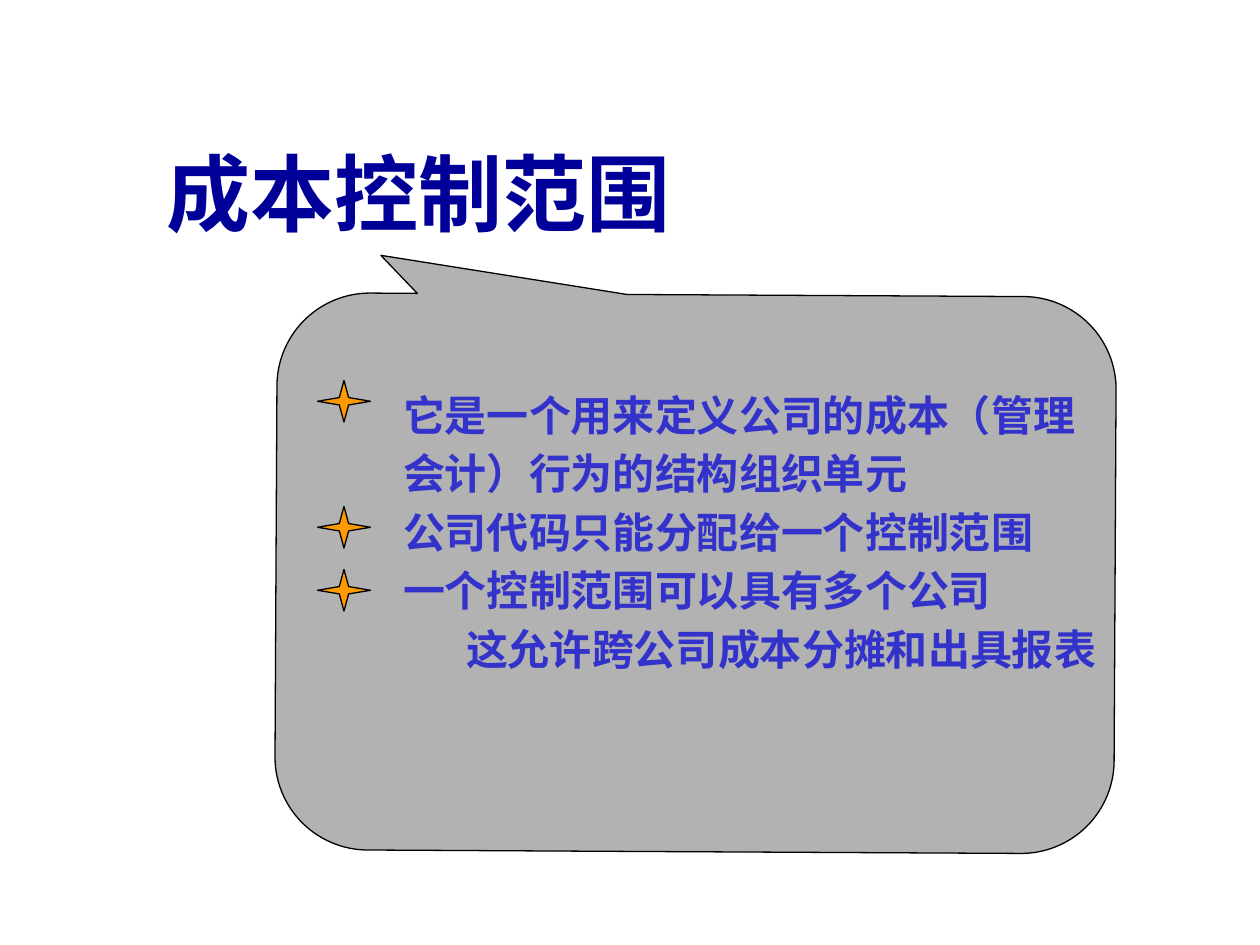
from lxml import etree
from pptx import Presentation, util as u
from pptx.dml.color import RGBColor
from pptx.enum import shapes, text
from pptx.oxml.ns import qn

WIDTH, HEIGHT = 10, 7.5
COLOURS = {
    "title": "000099",
    "body": "3333CC",
    "panel": "B2B2B2",
    "star": "FF9900",
    "outline": "000000",
}
CJK_FONT = "Noto Sans CJK SC"
POINTS = [
    ("它是一个用来定义公司的成本（管理", 0),
    ("会计）行为的结构组织单元", 0),
    ("公司代码只能分配给一个控制范围", 0),
    ("一个控制范围可以具有多个公司", 0),
    ("这允许跨公司成本分摊和出具报表", 1),
]
STAR_TOPS = (3.02, 4.02, 4.52)


def colour(name):
    """Return the named colour."""
    return RGBColor.from_string(COLOURS[name])


def place(left, top, width, height):
    """Turn inches into slide lengths."""
    return [u.Inches(length) for length in (left, top, width, height)]


def add_panel(slide, kind, box, fill, outline, adjustments=(), rotation=0):
    """Add a filled preset shape with a thin outline."""
    panel = slide.shapes.add_shape(kind, *place(*box))
    panel.shadow.inherit = False
    panel.rotation = rotation
    for index, value in enumerate(adjustments):
        panel.adjustments[index] = value
    panel.fill.solid()
    panel.fill.fore_color.rgb = colour(fill)
    panel.line.color.rgb = colour(outline)
    panel.line.width = u.Pt(0.75)
    return panel


def style_line(paragraph, size, font, ink, spacing):
    """Format a paragraph and its runs in bold."""
    paragraph.alignment = text.PP_ALIGN.LEFT
    paragraph.line_spacing = u.Pt(spacing)
    for run in paragraph.runs:
        run.font.size = u.Pt(size)
        run.font.bold = True
        run.font.name = font
        run.font.color.rgb = colour(ink)
        east_asian = etree.SubElement(run.font._element, qn("a:ea"))
        east_asian.set("typeface", CJK_FONT)


def add_title(slide, wording):
    """Add the slide heading."""
    heading = slide.shapes.add_textbox(*place(1.22, 1, 8.5, 1.25)).text_frame
    heading.word_wrap = True
    heading.text = wording
    style_line(heading.paragraphs[0], 48, "Times New Roman", "title", 63)


def add_points(slide):
    """Add the explanatory lines on their plain panel."""
    panel = add_panel(slide, shapes.MSO_SHAPE.RECTANGLE,
                      (3.1, 2.6, 5.25, 3.5), "panel", "panel")
    frame = panel.text_frame
    frame.word_wrap = False
    frame.vertical_anchor = text.MSO_ANCHOR.TOP
    frame.margin_top = u.Inches(0.5)
    frame.text = "\n".join(wording for wording, _ in POINTS)
    for index, (paragraph, (_, level)) in enumerate(zip(frame.paragraphs, POINTS)):
        paragraph.level = level
        paragraph._p.get_or_add_pPr().set("marL", str(u.Inches(0.5 * level)))
        style_line(paragraph, 24, CJK_FONT, "body", 28)
        if index:
            paragraph.space_before = u.Pt(5.4)


def main():
    """Build and save the slide."""
    deck = Presentation()
    deck.slide_width, deck.slide_height = u.Inches(WIDTH), u.Inches(HEIGHT)
    slide = deck.slides.add_slide(deck.slide_layouts[6])
    add_title(slide, "成本控制范围")
    add_panel(slide, shapes.MSO_SHAPE.ROUNDED_RECTANGULAR_CALLOUT,
              (3.31, 1.22, 4.42, 6.66), "panel", "outline",
              (-0.568, 0.377, 0.167), 90.3)
    add_points(slide)
    for top in STAR_TOPS:
        add_panel(slide, shapes.MSO_SHAPE.STAR_4_POINT,
                  (2.52, top, 0.42, 0.33), "star", "outline", (0.125,))
    deck.save("out.pptx")


if __name__ == "__main__":
    main()
